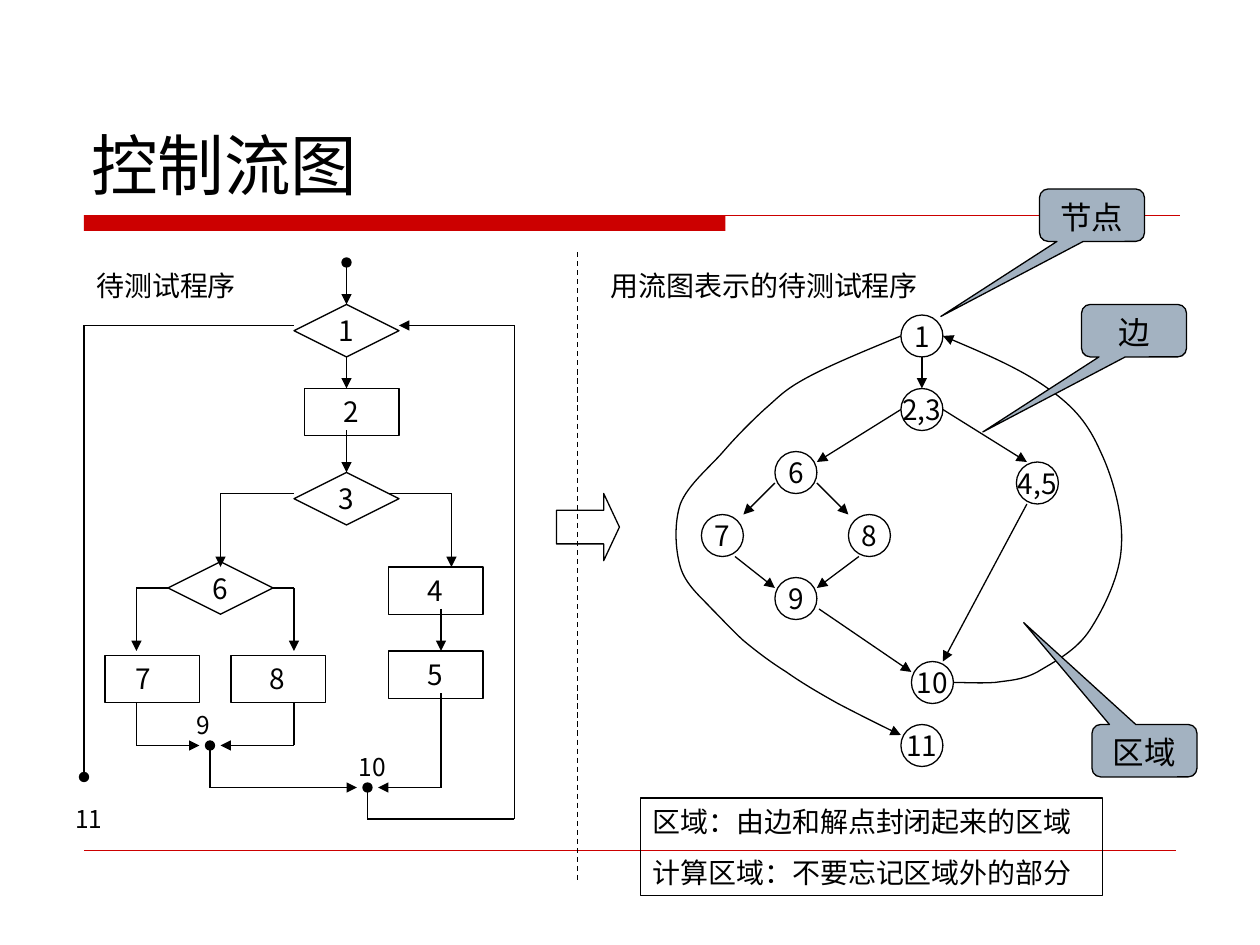
from dataclasses import dataclass
from typing import Optional

from lxml import etree
from pptx import Presentation
from pptx import util as u
from pptx.dml.color import RGBColor
from pptx.enum import dml, shapes, text
from pptx.oxml.ns import qn

PX = 7620  # EMU per px, 120 px to the inch
COLORS = {"ink": "000000", "paper": "FFFFFF", "red": "CC0000", "callout": "A3B2C1"}
LATIN, CJK = "DejaVu Sans", "Noto Sans CJK SC"
KIND = shapes.MSO_SHAPE
LEFT, CENTER = text.PP_ALIGN.LEFT, text.PP_ALIGN.CENTER
TOP, MIDDLE, BOTTOM = text.MSO_ANCHOR.TOP, text.MSO_ANCHOR.MIDDLE, text.MSO_ANCHOR.BOTTOM
SIZES = {KIND.OVAL: (40, 40), KIND.DIAMOND: (100, 50), KIND.RECTANGLE: (90, 45)}


@dataclass
class Node:
    words: str
    kind: int
    x: int
    y: int
    inset: Optional[int] = None  # left text inset; centred when absent


@dataclass
class Route:
    points: list
    tail: Optional[str] = "triangle"
    head: Optional[str] = None


@dataclass
class Callout:
    words: str
    x: int
    y: int
    tip: tuple


@dataclass
class Label:
    words: str
    x: int
    y: int
    width: int
    height: int = 44
    size: int = 16
    font: str = LATIN


FLOWCHART_NODES = [
    Node("1", KIND.DIAMOND, 280, 290), Node("2", KIND.RECTANGLE, 290, 370, 37),
    Node("3", KIND.DIAMOND, 280, 450), Node("4", KIND.RECTANGLE, 370, 540, 37),
    Node("5", KIND.RECTANGLE, 370, 620, 37), Node("6", KIND.DIAMOND, 160, 535),
    Node("7", KIND.RECTANGLE, 100, 624, 29), Node("8", KIND.RECTANGLE, 220, 624, 37)]
GRAPH_NODES = [Node(words, KIND.OVAL, x, y) for words, x, y in [
    ("1", 858, 300), ("2,3", 858, 370), ("6", 738, 430), ("4,5", 968, 440), ("7", 668, 490),
    ("8", 808, 490), ("9", 738, 550), ("10", 868, 630), ("11", 858, 690)]]

FLOWCHART_ROUTES = [
    Route([(330, 250), (330, 290)], head="oval"),
    Route([(330, 340), (330, 370)]),
    Route([(330, 410), (330, 450)]),
    Route([(280, 470), (210, 470), (210, 540)]),
    Route([(370, 470), (430, 470), (430, 540)]),
    Route([(420, 580), (420, 620)]),
    Route([(160, 560), (130, 560), (130, 620)]),
    Route([(260, 560), (280, 560), (280, 620)]),
    Route([(130, 670), (130, 710), (190, 710)]),
    Route([(280, 670), (280, 710), (210, 710)]),
    Route([(200, 710), (200, 750), (340, 750)], head="oval"),
    Route([(420, 660), (420, 750), (360, 750)]),
    Route([(350, 750), (350, 780), (490, 780), (490, 310), (380, 310)], head="oval"),
    Route([(280, 310), (80, 310), (80, 740)], tail="oval")]
GRAPH_ROUTES = [Route([start, end]) for start, end in [
    ((878, 340), (878, 370)), ((858, 390), (778, 440)), ((898, 390), (978, 440)),
    ((738, 460), (708, 490)), ((778, 460), (808, 490)), ((700, 530), (738, 560)),
    ((818, 530), (778, 560)), ((780, 580), (868, 640)), ((978, 480), (898, 630))]]

# Bezier chains: a start, then three points for each curve
BACK_EDGE = Route([
    (898, 320), (936, 336), (973, 352), (998, 370), (1024, 388), (1037, 405), (1048, 430),
    (1060, 455), (1070, 492), (1068, 520), (1067, 548), (1051, 580), (1038, 600),
    (1025, 620), (1003, 631), (988, 640), (973, 648), (961, 648), (948, 650),
    (935, 651), (916, 650), (908, 650)], tail=None, head="triangle")
EXIT_EDGE = Route([
    (858, 320), (824, 334), (790, 348), (768, 360), (746, 372), (742, 378), (728, 390),
    (715, 402), (702, 415), (689, 430), (676, 445), (655, 462), (648, 480),
    (642, 498), (643, 523), (648, 540), (653, 557), (668, 569), (678, 580),
    (689, 591), (697, 600), (708, 610), (720, 620), (733, 630), (749, 640),
    (763, 650), (780, 660), (798, 670), (817, 680), (847, 695), (858, 700)])

CALLOUTS = [Callout("节点", 990, 180, (-1.44, 1.93)), Callout("边", 1030, 290, (-1.44, 1.93)),
            Callout("区域", 1040, 690, (-1.15, -2.44))]
LABELS = [Label("待测试程序", 80, 250, 160), Label("用流图表示的待测试程序", 570, 250, 330)] + [
    Label(words, x, y, 60, 41, 14, CJK)
    for words, x, y in [("11", 60, 760), ("9", 175, 670), ("10", 330, 710)]]


def color(name: str) -> RGBColor:
    return RGBColor.from_string(COLORS[name])


def px(*values: int) -> list:
    return [u.Emu(value * PX) for value in values]


def write(frame, lines: list, size: int, font: str, align=LEFT, anchor=TOP, before=0) -> None:
    frame.vertical_anchor = anchor
    frame.auto_size = text.MSO_AUTO_SIZE.NONE
    for index, words in enumerate(lines):
        para = frame.add_paragraph() if index else frame.paragraphs[0]
        para.alignment, para.space_before = align, u.Pt(before)
        span = para.add_run()
        span.text = words
        span.font.size, span.font.name = u.Pt(size), font
        span.font.color.rgb = color("ink")


def stroke(line, name="ink", width=0.75, head=None, tail=None) -> None:
    line.color.rgb = color(name)
    line.width = u.Pt(width)
    for tag, end in (("a:headEnd", head), ("a:tailEnd", tail)):
        if end:
            etree.SubElement(line._get_or_add_ln(), qn(tag), type=end)


def add_shape(page, kind, x: int, y: int, width: int, height: int, fill=None):
    shape = page.shapes.add_shape(kind, *px(x, y, width, height))
    shape.shadow.inherit = False
    if fill:
        shape.fill.solid()
        shape.fill.fore_color.rgb = color(fill)
    else:
        shape.fill.background()
    stroke(shape.line)
    return shape


def add_line(page, start: tuple, end: tuple, **look):
    line = page.shapes.add_connector(shapes.MSO_CONNECTOR.STRAIGHT, *px(*start, *end))
    stroke(line.line, **look)
    etree.SubElement(line._element.spPr, qn("a:effectLst"))
    return line


def add_node(page, node: Node, sites: dict) -> None:
    width, height = SIZES[node.kind]
    is_circle = node.kind == KIND.OVAL
    shape = add_shape(page, node.kind, node.x, node.y, width, height, "paper" if is_circle else None)
    if node.inset is None:
        shape.text_frame.word_wrap = False
        write(shape.text_frame, [node.words], 16, CJK, CENTER, MIDDLE)
    else:
        shape.text_frame.margin_left = px(node.inset)[0]
        write(shape.text_frame, [node.words], 16, CJK, before=10)
    if not is_circle:  # side middles in site order: top, left, bottom, right
        x, y = node.x + width // 2, node.y + height // 2
        sides = [(x, node.y), (node.x, y), (x, node.y + height), (node.x + width, y)]
        sites.update({side: (shape, index) for index, side in enumerate(sides)})


def add_route(page, route: Route, sites: dict) -> None:
    legs = list(zip(route.points, route.points[1:]))
    for index, (start, end) in enumerate(legs):
        line = add_line(page, start, end, head=None if index else route.head,
                        tail=route.tail if index == len(legs) - 1 else None)
        if start in sites:
            line.begin_connect(*sites[start])
        if end in sites:
            line.end_connect(*sites[end])


def add_curve(page, route: Route) -> None:
    builder = page.shapes.build_freeform(*route.points[0], scale=PX)
    builder.add_line_segments(route.points[1:], close=False)
    curve = builder.convert_to_shape()
    curve.shadow.inherit = False
    curve.fill.background()
    stroke(curve.line, head=route.head, tail=route.tail)
    # Every three straight steps become one cubic Bezier
    steps = list(curve._element.iter(qn("a:lnTo")))
    for trio in zip(steps[::3], steps[1::3], steps[2::3]):
        cubic = etree.Element(qn("a:cubicBezTo"))
        trio[0].addprevious(cubic)
        for step in trio:
            cubic.append(step[0])
            step.getparent().remove(step)


deck = Presentation()
deck.slide_width, deck.slide_height = px(1200, 900)
page = deck.slides.add_slide(deck.slide_layouts[5])
# Title and red rules
title = page.shapes.title
title.left, title.top, title.width, title.height = px(75, 40, 1050, 160)
write(title.text_frame, ["控制流图"], 38, LATIN, anchor=BOTTOM)
add_shape(page, KIND.RECTANGLE, 80, 205, 611, 15, "red").line.fill.background()
add_line(page, (80, 205), (1124, 205), name="red")
add_line(page, (80, 810), (1120, 810), name="red", width=0.25)
# Flowchart and flow graph
sites = {}
for node in FLOWCHART_NODES + GRAPH_NODES:
    add_node(page, node, sites)
for route in FLOWCHART_ROUTES + GRAPH_ROUTES:
    add_route(page, route, sites)
for edge in (BACK_EDGE, EXIT_EDGE):
    add_curve(page, edge)
# Labels, arrow and callouts
for label in LABELS:
    box = page.shapes.add_textbox(*px(label.x, label.y, label.width, label.height))
    box.text_frame.word_wrap = True
    write(box.text_frame, [label.words], label.size, label.font, before=10)
arrow = add_shape(page, KIND.RIGHT_ARROW, 530, 470, 60, 64)
arrow.adjustments[0], arrow.adjustments[1] = 0.5, 0.25
for callout in CALLOUTS:
    bubble = add_shape(page, KIND.ROUNDED_RECTANGULAR_CALLOUT, callout.x, callout.y, 100, 50, "callout")
    bubble.adjustments[0], bubble.adjustments[1] = callout.tip
    write(bubble.text_frame, [callout.words], 18, LATIN, CENTER)
# Region note and divider
note = add_shape(page, KIND.RECTANGLE, 610, 760, 440, 93)
write(note.text_frame, ["区域：由边和解点封闭起来的区域", "计算区域：不要忘记区域外的部分"], 16, LATIN, before=10)
add_line(page, (550, 240), (550, 840)).line.dash_style = dml.MSO_LINE.DASH
deck.save("out.pptx")
